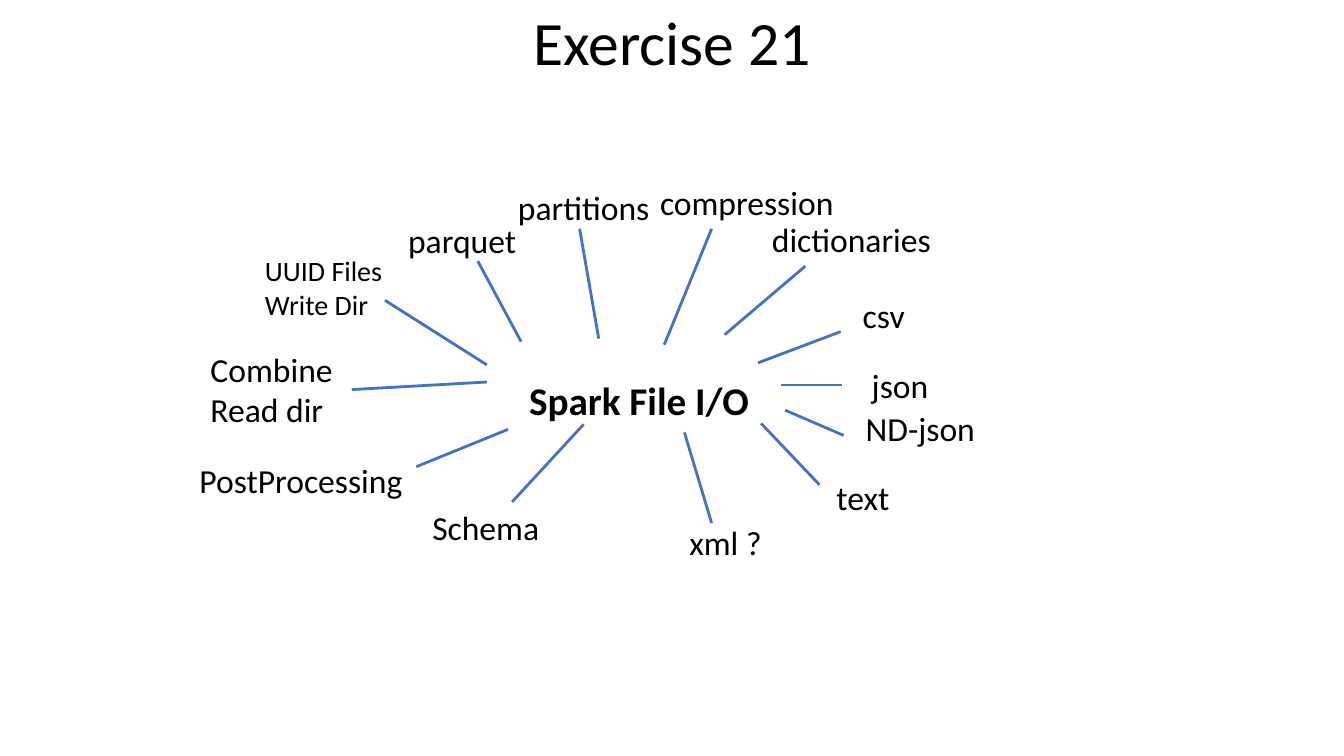
from lxml import etree
from pptx import Presentation
from pptx import util as u
from pptx.dml.color import RGBColor
from pptx.enum import shapes, text
from pptx.oxml.ns import qn

CELL = u.Inches(0.1)  # one column or row of the slide grid
COLUMNS, ROWS = 133.33, 75


def color(hex_string):
    return RGBColor.from_string(hex_string)


def cells(*counts):
    """Turn counts of columns or rows into lengths."""
    return [round(count * CELL) for count in counts]


class MindMap:
    FONT, INK, SPOKE = "Calibri", "000000", "4472C4"

    def __init__(self, slide):
        self.slide = slide

    def label(self, wording, left, top, width, height, size=24, bold=False):
        box = self.slide.shapes.add_textbox(*cells(left, top, width, height))
        frame = box.text_frame
        frame.word_wrap = False
        frame.auto_size = text.MSO_AUTO_SIZE.SHAPE_TO_FIT_TEXT
        paragraph = frame.paragraphs[0]
        paragraph.text = wording
        font = paragraph.font
        font.name, font.size, font.bold = self.FONT, u.Pt(size), bold
        font.color.rgb = color(self.INK)
        return box

    def title(self, wording, *place):
        box = self.label(wording, *place, size=44)
        frame = box.text_frame
        frame.word_wrap = True
        frame.auto_size = text.MSO_AUTO_SIZE.NONE
        frame.vertical_anchor = text.MSO_ANCHOR.MIDDLE
        frame.paragraphs[0].alignment = text.PP_ALIGN.CENTER
        frame.paragraphs[0].line_spacing = 0.9

    def spoke(self, *ends):
        line = self.slide.shapes.add_connector(
            shapes.MSO_CONNECTOR.STRAIGHT, *cells(*ends))
        line.line.color.rgb = color(self.SPOKE)
        line.line.width = u.Pt(2)
        etree.SubElement(line._element.spPr, qn("a:effectLst"))
        return line


# wording, (left, top, width, height), spoke from the hub to the label
TOPICS = [
    ("csv", (84.6, 28.8, 6.2, 5), (75.2, 36, 83.4, 32.9)),
    ("json", (85.5, 35.7, 7.7, 5), (77.5, 38.2, 83.5, 38.2)),
    ("ND-json", (84.9, 40, 13, 5), (77.9, 40.7, 83.7, 43.2)),
    ("text", (82, 46.8, 7.3, 5), (75.5, 42, 81.3, 48.1)),
    ("xml ?", (67.4, 51.3, 9.5, 5), (67.9, 42.9, 70.6, 51.9)),
    ("Schema", (41.9, 49.8, 12.7, 5), (57.9, 42.1, 50.8, 49.8)),
    ("PostProcessing", (18.8, 45.1, 22.3, 5), (50.4, 42.6, 41.3, 46.3)),
    ("parquet", (39.5, 21.3, 12.9, 5), (51.7, 33.9, 47.4, 25.9)),
    ("partitions", (50.4, 18.1, 15.2, 5), (59.4, 33.6, 57.5, 22.7)),
    ("compression", (64.5, 17.6, 19.4, 5), (65.9, 34.2, 70.6, 22.7)),
    ("dictionaries", (75.6, 21.2, 18, 5), (71.9, 33.2, 79.9, 26.4)),
]


def main():
    deck = Presentation()
    deck.slide_width, deck.slide_height = cells(COLUMNS, ROWS)
    mind_map = MindMap(deck.slides.add_slide(deck.slide_layouts[6]))

    mind_map.title("Exercise 21", 9.2, 0.5, 115, 8.1)
    mind_map.label("Spark File I/O", 51.5, 36.8, 24.1, 5.7, size=28, bold=True)
    for wording, place, ends in TOPICS:
        mind_map.label(wording, *place)
        mind_map.spoke(*ends)

    mind_map.label("UUID Files\nWrite Dir".replace("\n", "\v"),
                   25.3, 24.7, 13.8, 7.7, size=20)
    mind_map.spoke(48.3, 36.2, 38.2, 29.8)
    combine = mind_map.label("Combine \vRead dir", 19.9, 34.1, 15, 9.1)
    mind_map.spoke(48.3, 37.9, 34.9, 38.6).end_connect(combine, 3)

    deck.save("out.pptx")


if __name__ == "__main__":
    main()
